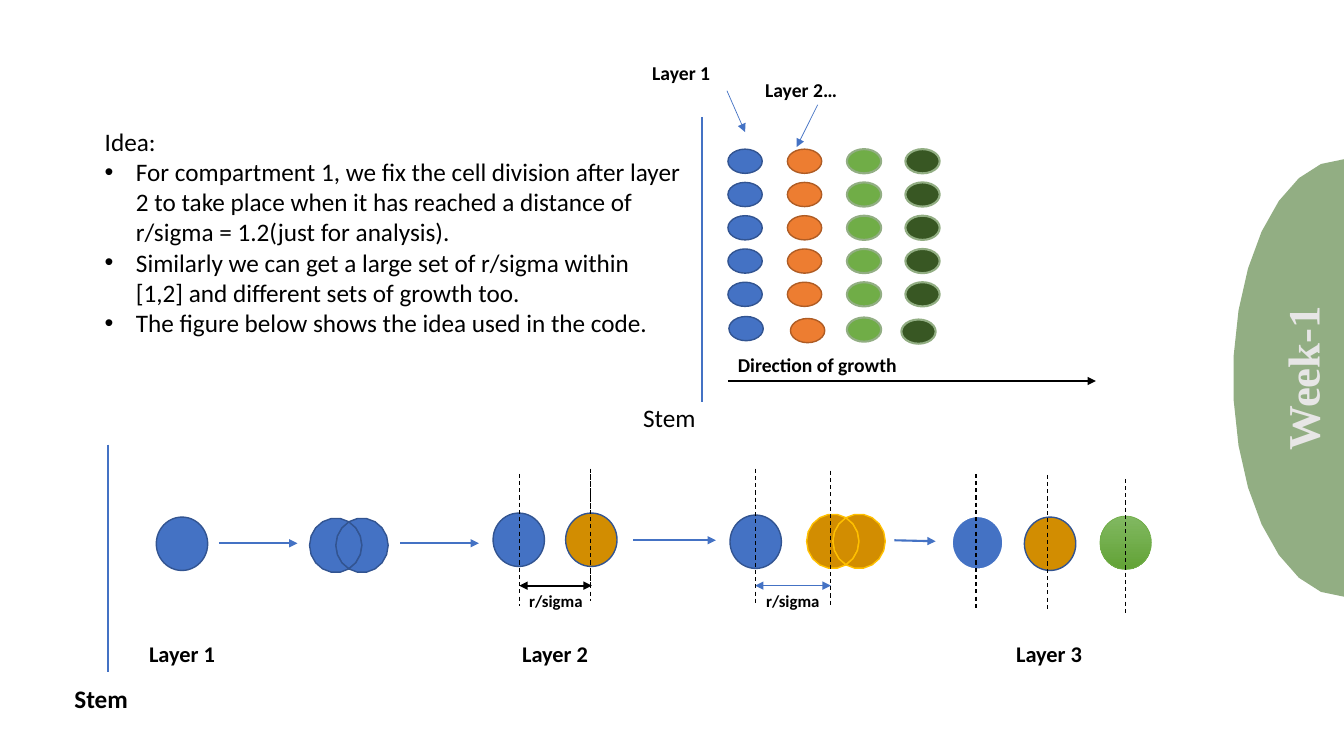
import math
import pptx
import pptx.util
import pptx.dml.color
import pptx.enum.dml
import pptx.enum.shapes
import pptx.enum.text
from lxml import etree
from pptx.oxml.ns import qn

Inches, Pt = pptx.util.Inches, pptx.util.Pt
rgb = pptx.dml.color.RGBColor.from_string
OVAL = pptx.enum.shapes.MSO_SHAPE.OVAL
BLUE, NAVY, GOLD, AMBER = "4472C4", "325491", "D28D01", "FFC000"
BLACK, SAGE = "000000", "92AE83"

deck = pptx.Presentation()
deck.slide_width, deck.slide_height = Inches(13.33), Inches(7.5)
slide = deck.slides.add_slide(deck.slide_layouts[6])
shapes = slide.shapes


def paint(shape, fill, edge, width):
    shape.shadow.inherit = False
    shape.fill.solid()
    shape.fill.fore_color.rgb = rgb(fill)
    if edge:
        shape.line.color.rgb = rgb(edge)
        shape.line.width = Pt(width)
    else:
        shape.line.fill.background()


def link(x1, y1, x2, y2, color, width, ends=(), dash=False):
    line = shapes.add_connector(pptx.enum.shapes.MSO_CONNECTOR.STRAIGHT,
                                Inches(x1), Inches(y1), Inches(x2), Inches(y2))
    line.line.color.rgb = rgb(color)
    line.line.width = Pt(width)
    if dash:
        line.line.dash_style = pptx.enum.dml.MSO_LINE.DASH
    props = line._element.spPr
    for end in ends:
        etree.SubElement(props.find(qn("a:ln")), qn("a:" + end), type="triangle")
    etree.SubElement(props, qn("a:effectLst"))


# Outlines made of arcs: centre, radii, start and end angle, angle step
outlines = [(SAGE, None, 12, [(13.33, 3.75, 1.1, 2.17, 90, 270)])]
for x, y, fill, edge in [(3.33, 5.41, BLUE, NAVY), (8.26, 5.37, GOLD, AMBER)]:
    left, right = (x, y, 0.26, 0.27), (x + 0.26, y, 0.26, 0.27)
    outlines += [
        (fill, edge, 20, [(*left, -60, 60), (*right, 120, 240)]),
        (fill, edge, 20, [(*left, 60, 300), (*right, 240, 120)]),
        (fill, edge, 20, [(*right, -120, 120), (*left, 60, -60)]),
    ]
for fill, edge, step, arcs in outlines:
    dots = []
    for x, y, rx, ry, start, stop in arcs:
        count = abs(stop - start) // step
        for rank in range(count + 1):
            turn = math.radians(start + (stop - start) * rank / count)
            dot = (Inches(x + rx * math.cos(turn)), Inches(y + ry * math.sin(turn)))
            dots.append(dot)
    path = shapes.build_freeform(*dots[0])
    path.add_line_segments(dots[1:], close=True)
    paint(path.convert_to_shape(), fill, edge, 1)

# Cell grid: one column per layer, the lowest cell set by itself
columns = [
    (7.22, 7.23, 3.14, BLUE, NAVY, 1),
    (7.81, 7.84, 3.16, "ED7D31", "AF5C24", 1),
    (8.4, 8.4, 3.15, "70AD47", SAGE, 1.5),
    (8.98, 8.94, 3.17, "385723", SAGE, 1.5),
]
for x, foot, base, fill, edge, width in columns:
    spots = [(x, 1.48 + row * 0.33) for row in range(5)] + [(foot, base)]
    for left, top in spots:
        cell = shapes.add_shape(OVAL, Inches(left), Inches(top),
                                Inches(0.34), Inches(0.24))
        paint(cell, fill, edge, width)

# Stem lines, pointers and growth axis
link(6.96, 1.16, 6.96, 3.99, BLUE, 1.5)
link(1.07, 4.41, 1.07, 6.67, BLUE, 1.5)
link(7.21, 0.9, 7.39, 1.31, BLUE, 0.5, ["tailEnd"])
link(8.11, 1.04, 7.9, 1.46, BLUE, 0.5, ["tailEnd"])
link(7.22, 3.78, 10.87, 3.78, BLACK, 1.5, ["tailEnd"])

# Division steps
for x1, y1, x2, y2 in [(2.17, 5.39, 2.95, 5.39), (3.97, 5.39, 4.75, 5.39),
                       (6.28, 5.36, 7.1, 5.36), (8.87, 5.36, 9.28, 5.37)]:
    link(x1, y1, x2, y2, BLUE, 1.5, ["tailEnd"])
link(5.15, 5.81, 5.87, 5.81, BLACK, 1.5, ["headEnd", "tailEnd"])
link(7.49, 5.81, 8.24, 5.81, BLUE, 0.5, ["headEnd", "tailEnd"])
link(5.86, 4.65, 5.86, 5.96, BLACK, 0.75, dash=True)

# Single cells; the last one is shaded
for x, y, fill, edge, width in [
    (1.55, 5.13, BLUE, NAVY, 1),
    (4.89, 5.09, BLUE, NAVY, 1),
    (5.61, 5.09, GOLD, NAVY, 1),
    (7.24, 5.11, BLUE, NAVY, 1),
    (9.44, 5.12, BLUE, "FFFFFF", 1.5),
    (10.16, 5.13, GOLD, NAVY, 1),
    (10.91, 5.12, "70AD47", "70AD47", 0.5),
]:
    cell = shapes.add_shape(OVAL, Inches(x), Inches(y), Inches(0.51), Inches(0.53))
    paint(cell, fill, edge, width)
cell.fill.gradient()
cell.fill.gradient_angle = 270
for stop, color in zip(cell.fill.gradient_stops, ["81B861", "62A336"]):
    stop.color.rgb = rgb(color)

# Centre lines
for x, top, base in [(5.15, 4.7, 6.01), (5.86, 4.7, 5.81), (7.49, 4.65, 6.01),
                     (8.24, 4.67, 6.02), (9.68, 4.7, 6.06), (10.39, 4.71, 6.07),
                     (11.16, 4.75, 6.11)]:
    link(x, top, x, base, BLACK, 0.75, dash=True)

# Text: lines after the first are bullets
idea = [
    "Idea:",
    "For compartment 1, we fix the cell division after layer 2 to take place when "
    "it has reached a distance of r/sigma = 1.2(just for analysis).",
    "Similarly we can get a large set of r/sigma within [1,2] and different sets "
    "of growth too.",
    "The figure below shows the idea used in the code.",
]
for x, y, w, h, size, bold, lines in [
    (0.94, 1.2, 5.92, 2.52, 18, False, idea),
    (6.28, 3.94, 1.28, 0.47, 18, False, ["Stem"]),
    (7.22, 3.45, 3.16, 0.39, 14, True, ["Direction of growth"]),
    (6.37, 0.56, 1.38, 0.39, 14, True, ["Layer 1"]),
    (7.49, 0.72, 1.66, 0.39, 14, True, ["Layer 2…"]),
    (5.15, 5.81, 0.74, 0.3, 12, True, ["r/sigma"]),
    (7.5, 5.81, 0.74, 0.3, 12, True, ["r/sigma"]),
    (1.38, 6.3, 0.87, 0.37, 16, True, ["Layer 1"]),
    (5.08, 6.3, 0.87, 0.37, 16, True, ["Layer 2"]),
    (9.98, 6.3, 0.87, 0.37, 16, True, ["Layer 3"]),
    (0.64, 6.73, 0.74, 0.4, 18, True, ["Stem"]),
    (11.92, 3.25, 1.99, 0.64, 32, True, ["Week-1"]),
]:
    week = lines == ["Week-1"]
    box = shapes.add_textbox(Inches(x), Inches(y), Inches(w), Inches(h))
    box.rotation = 270 if week else 0
    frame = box.text_frame
    frame.word_wrap = week or lines is idea
    frame.auto_size = pptx.enum.text.MSO_AUTO_SIZE.SHAPE_TO_FIT_TEXT
    for rank, words in enumerate(lines):
        para = frame.add_paragraph() if rank else frame.paragraphs[0]
        if rank:
            props = para._p.get_or_add_pPr()
            props.set("marL", str(Inches(0.31)))
            props.set("indent", str(Inches(-0.31)))
            etree.SubElement(props, qn("a:buFont"), typeface="Arial")
            etree.SubElement(props, qn("a:buChar"), char="•")
        run = para.add_run()
        run.text = words
        run.font.size = Pt(size)
        run.font.bold = bold
        run.font.name = "Times New Roman" if week else "Calibri"
        run.font.color.rgb = rgb("E7E6E6" if week else BLACK)

deck.save("out.pptx")
